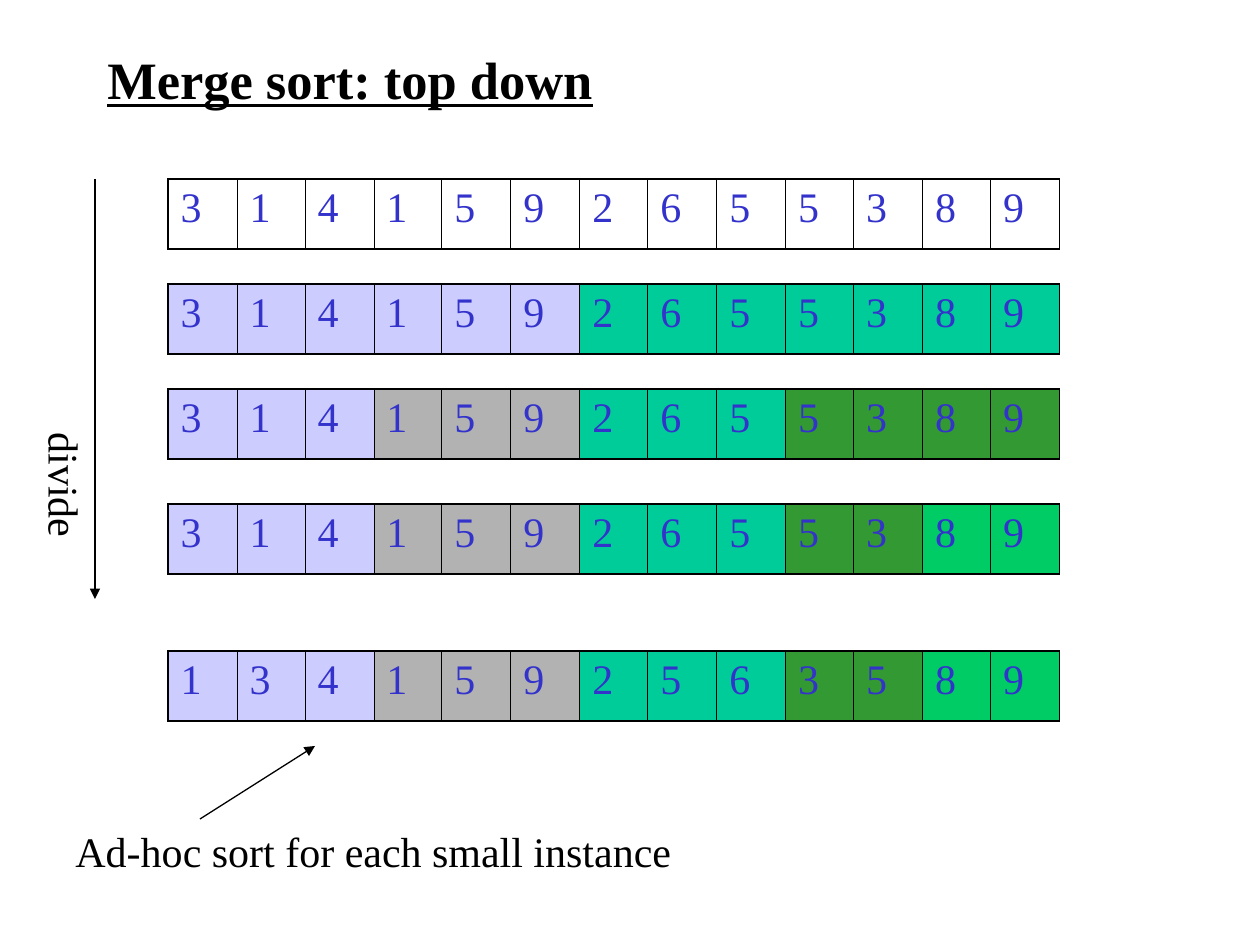
from itertools import groupby

from lxml import etree
from pptx import Presentation, util as u
from pptx.dml.color import RGBColor
from pptx.enum import shapes, text
from pptx.oxml import ns

PX = u.Inches(1) / 126
FONT = "Times New Roman"
THIN, THICK = u.Pt(0.45), u.Pt(1.08)

BLACK = RGBColor(0x00, 0x00, 0x00)
DIGIT_BLUE = RGBColor(0x33, 0x33, 0xCC)
LAVENDER = RGBColor(0xCC, 0xCC, 0xFF)
GRAY = RGBColor(0xB2, 0xB2, 0xB2)
TEAL = RGBColor(0x00, 0xCC, 0x99)
FOREST = RGBColor(0x33, 0x99, 0x33)
GREEN = RGBColor(0x00, 0xCC, 0x66)

UNSORTED = "3141592655389"
SORTED_PARTS = "1341592563589"
SMALL_PARTS = [(LAVENDER, 3), (GRAY, 3), (TEAL, 3), (FOREST, 2), (GREEN, 2)]

# Top of each array, its digits and the (colour, length) parts it is split into
ARRAYS = [
    (179, UNSORTED, [(None, 13)]),
    (284, UNSORTED, [(LAVENDER, 6), (TEAL, 7)]),
    (389, UNSORTED, [(LAVENDER, 3), (GRAY, 3), (TEAL, 3), (FOREST, 4)]),
    (504, UNSORTED, SMALL_PARTS),
    (651, SORTED_PARTS, SMALL_PARTS),
]


def px(length):
    return u.Emu(round(length * PX))


def style_font(font, size, color):
    font.name = FONT
    font.size = u.Pt(size)
    font.color.rgb = color


def add_label(slide, box, words, size=24, wrap=False):
    shape = slide.shapes.add_textbox(*map(px, box))
    frame = shape.text_frame
    frame.word_wrap = wrap
    paragraph = frame.paragraphs[0]
    paragraph.text = words
    style_font(paragraph.font, size, BLACK)
    return frame


def add_title(slide, box, words):
    frame = add_label(slide, box, words, size=30, wrap=True)
    frame.vertical_anchor = text.MSO_ANCHOR.MIDDLE
    font = frame.paragraphs[0].font
    font.bold = True
    font.underline = True


def add_vertical_label(slide, box, words):
    frame = add_label(slide, box, words)
    frame.margin_left = frame.margin_right = u.Inches(0.05)
    frame.margin_top = frame.margin_bottom = u.Inches(0.1)
    frame._txBody.bodyPr.set("vert", "eaVert")


def add_arrow(slide, start, end):
    arrow = slide.shapes.add_connector(
        shapes.MSO_CONNECTOR.STRAIGHT, *map(px, start + end))
    arrow.line.color.rgb = BLACK
    arrow.line.width = u.Pt(0.75)
    etree.SubElement(arrow.line._get_or_add_ln(), ns.qn("a:tailEnd"), type="triangle")
    etree.SubElement(arrow._element.spPr, ns.qn("a:effectLst"))


def set_borders(cell, left, right):
    """Draw thick top and bottom borders, and sides of the given widths."""
    properties = cell._tc.get_or_add_tcPr()
    sides = [("lnL", left), ("lnR", right), ("lnT", THICK), ("lnB", THICK)]
    for index, (side, width) in enumerate(sides):
        line = etree.Element(ns.qn(f"a:{side}"), w=str(width))
        fill = etree.SubElement(line, ns.qn("a:solidFill"))
        etree.SubElement(fill, ns.qn("a:srgbClr"), val=str(BLACK))
        properties.insert(index, line)


def add_array(slide, box, digits, parts):
    """Add a one-row table of digits, coloured part by part."""
    left, top, width, height = box
    count = len(digits)
    table = slide.shapes.add_table(1, count, *map(px, box)).table
    table.first_row = table.horz_banding = False
    table.rows[0].height = px(height)
    edges = [round(width * i / count) for i in range(count + 1)]
    colors = [color for color, length in parts for _ in range(length)]
    for i, (digit, color) in enumerate(zip(digits, colors)):
        table.columns[i].width = px(edges[i + 1] - edges[i])
        cell = table.cell(0, i)
        if color is None:
            cell.fill.background()
        else:
            cell.fill.solid()
            cell.fill.fore_color.rgb = color
        set_borders(cell, THICK if i == 0 else THIN,
                    THICK if i == count - 1 else THIN)
        paragraph = cell.text_frame.paragraphs[0]
        paragraph.text = digit
        style_font(paragraph.font, 24, DIGIT_BLUE)


def main():
    presentation = Presentation()
    presentation.slide_width, presentation.slide_height = px(1260), px(945)
    slide = presentation.slides.add_slide(presentation.slide_layouts[6])

    add_title(slide, (95, 42, 850, 73), "Merge sort: top down")
    for top, digits, parts in ARRAYS:
        add_array(slide, (168, top, 892, 70), digits, parts)
    add_arrow(slide, (95, 179), (95, 599))
    add_vertical_label(slide, (21, 420, 76, 118), "divide")
    add_label(slide, (63, 819, 621, 63), "Ad-hoc sort for each small instance")
    add_arrow(slide, (200, 819), (315, 746))

    presentation.save("out.pptx")


if __name__ == "__main__":
    main()
